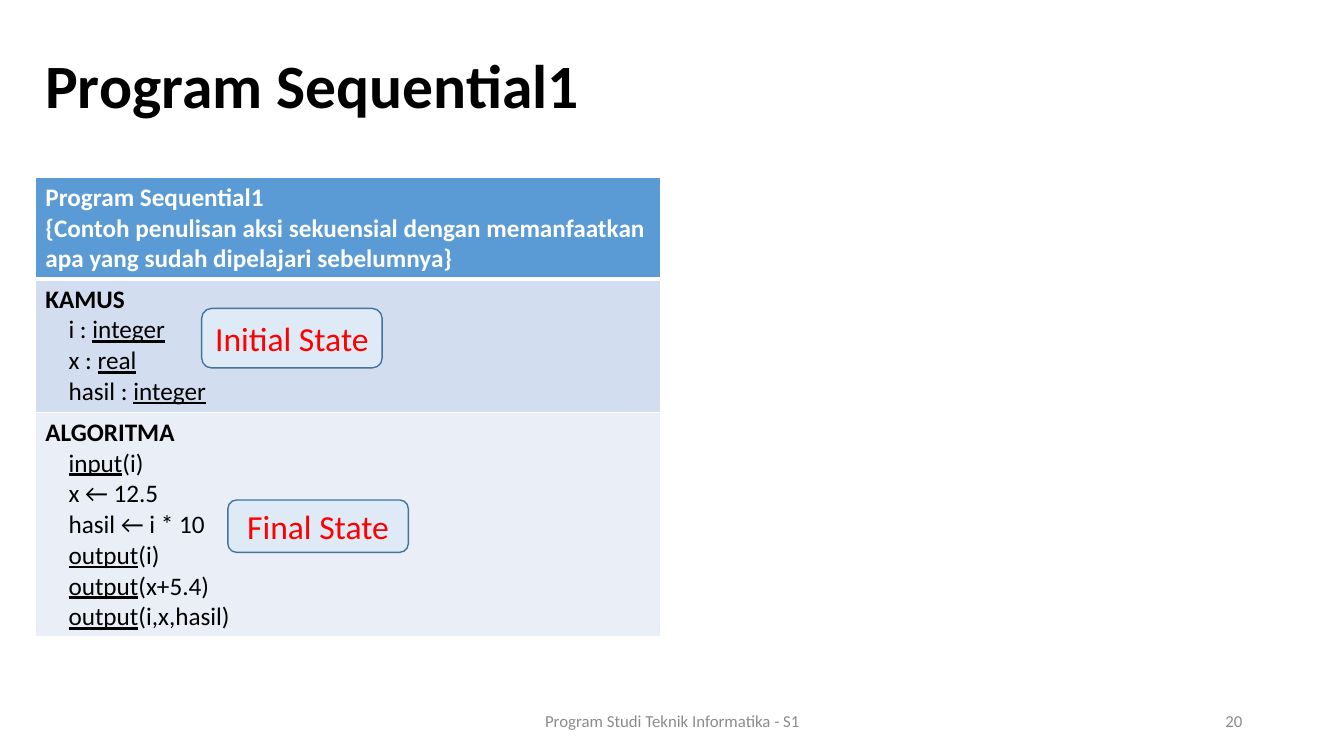
"""Build the Program Sequential1 slide with its algorithm table and state labels."""
import pptx
import pptx.dml.color
import pptx.enum.shapes
import pptx.enum.text
import pptx.oxml
import pptx.oxml.ns
import pptx.util
from pptx.util import Inches

RGBColor = pptx.dml.color.RGBColor
Align = pptx.enum.text.PP_ALIGN
WHITE = RGBColor(0xFF, 0xFF, 0xFF)
BLACK = RGBColor(0, 0, 0)
RED = RGBColor(0xFF, 0, 0)
GREY = RGBColor(0x8C, 0x8C, 0x8C)
HEADER_BLUE = RGBColor(0x5B, 0x9B, 0xD5)
KAMUS_BLUE = RGBColor(0xD2, 0xDE, 0xEF)
ALGORITMA_BLUE = RGBColor(0xEA, 0xEF, 0xF7)
LABEL_BLUE = RGBColor(0xDE, 0xEB, 0xF7)
OUTLINE_BLUE = RGBColor(0x43, 0x73, 0x9E)


class SlideBuilder:
    """Hold the slide and its font, and add each kind of element."""

    def __init__(self, slide, font="Calibri"):
        self.slide = slide
        self.font = font

    def style(self, run, size, color, bold=False, underline=False):
        run.font.name = self.font
        run.font.size = pptx.util.Pt(size)
        run.font.color.rgb = color
        run.font.bold = bold
        run.font.underline = underline

    def fill_frame(self, frame, text, size, color, align, bold=False):
        frame.word_wrap = True
        frame.vertical_anchor = pptx.enum.text.MSO_ANCHOR.MIDDLE
        frame.text = text
        paragraph = frame.paragraphs[0]
        paragraph.alignment = align
        self.style(paragraph.runs[0], size, color, bold)
        return paragraph

    def text(self, text, box, size, color, align=Align.LEFT, bold=False):
        frame = self.slide.shapes.add_textbox(*map(Inches, box)).text_frame
        return self.fill_frame(frame, text, size, color, align, bold)

    def state_label(self, text, box):
        rounded = pptx.enum.shapes.MSO_SHAPE.ROUNDED_RECTANGLE
        label = self.slide.shapes.add_shape(rounded, *map(Inches, box))
        label.shadow.inherit = False
        label.fill.solid()
        label.fill.fore_color.rgb = LABEL_BLUE
        label.line.color.rgb = OUTLINE_BLUE
        label.line.width = pptx.util.Pt(1)
        self.fill_frame(label.text_frame, text, 24, RED, Align.CENTER)

    def border(self, cell, side, width):
        properties = cell._tc.get_or_add_tcPr()
        properties.append(pptx.oxml.parse_xml(
            f'<a:ln{side} {pptx.oxml.ns.nsdecls("a")} w="{pptx.util.Pt(width)}">'
            f'<a:solidFill><a:srgbClr val="{WHITE}"/></a:solidFill></a:ln{side}>'))

    def code_line(self, paragraph, line, color, bold, indent):
        """Write one line whose underscore-enclosed parts are underlined."""
        paragraph._p.get_or_add_pPr().set("marL", str(Inches(indent)))
        for position, part in enumerate(line.split("_")):
            if part:
                run = paragraph.add_run()
                run.text = part
                self.style(run, 18, color, bold, position % 2 == 1)

    def program_table(self, sections, left, top, width):
        height = sum(section[0] for section in sections)
        table = self.slide.shapes.add_table(
            len(sections), 1, *map(Inches, (left, top, width, height))).table
        for index, (row_height, fill, color, headings, code) in enumerate(sections):
            table.rows[index].height = Inches(row_height)
            cell = table.cell(index, 0)
            top_width, bottom_width = (3 if index == 1 else 1), (3 if index == 0 else 1)
            for side, line_width in zip("LRTB", (1, 1, top_width, bottom_width)):
                self.border(cell, side, line_width)
            cell.fill.solid()
            cell.fill.fore_color.rgb = fill
            lines = [(line, True, 0) for line in headings]
            lines += [(line, False, 0.23) for line in code]
            for number, (line, bold, indent) in enumerate(lines):
                frame = cell.text_frame
                paragraph = frame.add_paragraph() if number else frame.paragraphs[0]
                self.code_line(paragraph, line, color, bold, indent)


SECTIONS = [
    (1.01, HEADER_BLUE, WHITE,
     ["Program Sequential1",
      "{Contoh penulisan aksi sekuensial dengan memanfaatkan "
      "apa yang sudah dipelajari sebelumnya}"], []),
    (1.32, KAMUS_BLUE, BLACK, ["KAMUS"],
     ["i : _integer_", "x : _real_", "hasil : _integer_"]),
    (2.23, ALGORITMA_BLUE, BLACK, ["ALGORITMA"],
     ["_input_(i)", "x ← 12.5", "hasil ← i * 10",
      "_output_(i)", "_output_(x+5.4)", "_output_(i,x,hasil)"]),
]

presentation = pptx.Presentation()
presentation.slide_width = Inches(13.33)
presentation.slide_height = Inches(7.5)
builder = SlideBuilder(presentation.slides.add_slide(presentation.slide_layouts[6]))

title = builder.text("Program Sequential1", (0.35, 0.15, 10.98, 1.45), 44, BLACK, bold=True)
title.line_spacing = 0.9
builder.program_table(SECTIONS, 0.35, 1.76, 6.2)
builder.text("Program Studi Teknik Informatika - S1", (4.42, 6.95, 4.5, 0.4),
             12, GREY, Align.CENTER)
builder.text("20", (9.42, 6.95, 3, 0.4), 12, GREY, Align.RIGHT)
builder.state_label("Initial State", (2, 3.06, 1.79, 0.59))
builder.state_label("Final State", (2.26, 4.96, 1.79, 0.52))

presentation.save("out.pptx")
